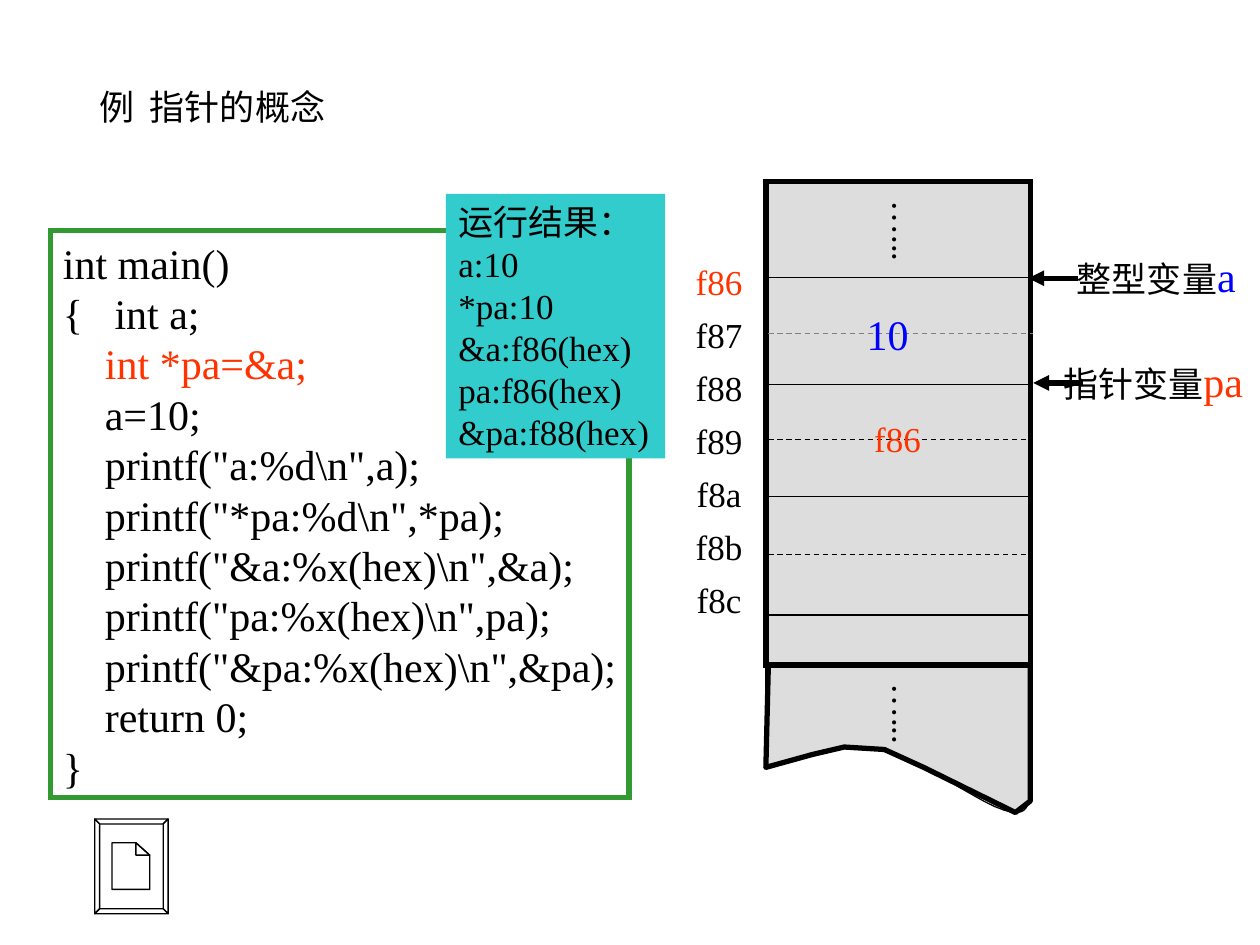
"""Slide on the concept of pointers: program, its output and a memory map."""
from lxml import etree
from pptx import Presentation
from pptx import util as u
from pptx.dml.color import RGBColor
from pptx.enum import dml, shapes, text
from pptx.oxml import ns

BLACK = RGBColor(0x00, 0x00, 0x00)
WHITE = RGBColor(0xFF, 0xFF, 0xFF)
RED = RGBColor(0xFF, 0x33, 0x00)
BLUE = RGBColor(0x00, 0x00, 0xFF)
GREEN = RGBColor(0x33, 0x99, 0x33)
TEAL = RGBColor(0x33, 0xCC, 0xCC)
GREY = RGBColor(0xDD, 0xDD, 0xDD)
MID_GREY = RGBColor(0x80, 0x80, 0x80)
FONT = "Times New Roman"

TITLE = "例  指针的概念"
CODE = [
    "int main()",
    "{   int a;",
    ["    ", ("int *pa=&a;", RED, 24)],
    "    a=10;",
    '    printf("a:%d\\n",a);',
    '    printf("*pa:%d\\n",*pa);',
    '    printf("&a:%x(hex)\\n",&a);',
    '    printf("pa:%x(hex)\\n",pa);',
    '    printf("&pa:%x(hex)\\n",&pa);',
    "    return 0;",
    "}",
]
RESULTS = ["运行结果：", "a:10", "*pa:10", "&a:f86(hex)", "pa:f86(hex)", "&pa:f88(hex)"]
ADDRESSES = ["f86", "f87", "f88", "f89", "f8a", "f8b", "f8c"]
ADDRESS_TOP, ADDRESS_PITCH = 5.11, 1.07
LEFT, TOP, WIDTH, HEIGHT = 15.44, 3.66, 5.33, 9.75
RIGHT, BOTTOM = LEFT + WIDTH, TOP + HEIGHT
ROWS = [
    (5.59, 0.05, BLACK, False),
    (6.73, 0.05, MID_GREY, True),
    (7.75, 0.05, BLACK, False),
    (8.86, 0.05, BLACK, True),
    (10.01, 0, BLACK, False),
    (11.18, 0.05, BLACK, True),
    (12.4, 0.05, BLACK, False),
]
SIDES = [(LEFT, 15.47), (RIGHT, 16.1)]
TORN = [(15.49, BOTTOM), (RIGHT, BOTTOM), (RIGHT, 16.15), (20.47, 16.38), (18.62, 15.47),
        (17.83, 15.11), (17.02, 15.06), (16.38, 15.21), (LEFT, 15.47)]
CURVES = [
    [(15.44, 15.49), (16.13, 15.21), (16.84, 14.94), (17.65, 15.09)],
    [(17.65, 15.09), (18.44, 15.21), (19.71, 16.18), (20.24, 16.33)],
    [(20.24, 16.33), (20.78, 16.51), (20.7, 16.13), (20.78, 16.08)],
]
VARIABLES = [
    ("整型变量", "a", BLUE, (21.46, 4.93, 3.94, 1.27), (21.74, 20.73, 5.61)),
    ("指针变量", "pa", RED, (21.18, 7.04, 4.45, 1.27), (21.84, 20.83, 7.72)),
]
VALUES = [("10", BLUE, 24, (17.22, 6.1, 1.35, 1.27)), ("f86", RED, 20, (17.37, 8.28, 1.45, 1.12))]
DOTS = [(17.6, 3.79, 1.35, 1.5), (17.6, 13.52, 1.35, 1.5)]
FRAME_OUT = [(1.91, 16.51), (3.39, 16.51), (3.39, 18.42), (1.91, 18.42)]
FRAME_IN = [(2.01, 16.61), (3.29, 16.61), (3.29, 18.32), (2.01, 18.32)]
PAGE = [(2.26, 16.99), (2.74, 16.99), (3.02, 17.24), (3.02, 17.93), (2.26, 17.93)]
FOLD = [(2.74, 16.99), (3.02, 17.24), (2.74, 17.24)]

prs = Presentation()
prs.slide_width, prs.slide_height = u.Cm(25.4), u.Cm(19.05)
s = prs.slides.add_slide(prs.slide_layouts[6])


def paint(sp, fill=None, line=None, width=0.75):
    sp.shadow.inherit = False
    if fill is None:
        sp.fill.background()
    else:
        sp.fill.solid()
        sp.fill.fore_color.rgb = fill
    if line is None:
        sp.line.fill.background()
    else:
        sp.line.color.rgb = line
        sp.line.width = u.Pt(width)


def add_box(box, **look):
    sp = s.shapes.add_shape(shapes.MSO_SHAPE.RECTANGLE, *map(u.Cm, box))
    paint(sp, **look)
    etree.SubElement(sp.line._get_or_add_ln(), ns.qn("a:miter"), lim="800000")
    return sp


def add_text(lines, box=None, sp=None, size=20, color=BLACK, center=False, vertical=False):
    sp = sp or s.shapes.add_textbox(*map(u.Cm, box))
    tf = sp.text_frame
    tf.word_wrap = False
    tf.auto_size = text.MSO_AUTO_SIZE.SHAPE_TO_FIT_TEXT
    tf.vertical_anchor = text.MSO_ANCHOR.MIDDLE if center else text.MSO_ANCHOR.TOP
    across, along = (0.13, 0.25) if vertical else (0.25, 0.13)
    tf.margin_left = tf.margin_right = u.Cm(across)
    tf.margin_top = tf.margin_bottom = u.Cm(along)
    if vertical:
        tf._txBody.bodyPr.set("vert", "eaVert")
    for i, line in enumerate(lines):
        p = tf.add_paragraph() if i else tf.paragraphs[0]
        p.alignment = text.PP_ALIGN.CENTER if center else text.PP_ALIGN.LEFT
        for part in [line] if isinstance(line, str) else line:
            words, tint, points = (part, color, size) if isinstance(part, str) else part
            r = p.add_run()
            r.text = words
            r.font.name, r.font.size = FONT, u.Pt(points)
            r.font.color.rgb = tint


def add_line(x1, y1, x2, y2, color=BLACK, width=0.75, dashed=False, arrow=False):
    ln = s.shapes.add_connector(shapes.MSO_CONNECTOR.STRAIGHT, *map(u.Cm, (x1, y1, x2, y2)))
    ln.line.color.rgb = color
    ln.line.width = u.Pt(width)
    if dashed:
        ln.line.dash_style = dml.MSO_LINE.DASH
    if arrow:
        etree.SubElement(ln.line._get_or_add_ln(), ns.qn("a:tailEnd"), type="triangle")
    etree.SubElement(ln._element.spPr, ns.qn("a:effectLst"))


def add_outline(*contours, close=True, **look):
    builder = None
    for points in contours:
        start, *rest = [(u.Cm(x), u.Cm(y)) for x, y in points]
        if builder is None:
            builder = s.shapes.build_freeform(*start)
        else:
            builder.move_to(*start)
        builder.add_line_segments(rest, close=close)
    paint(builder.convert_to_shape(), **look)


def bezier(curve, t):
    weights = ((1 - t) ** 3, 3 * t * (1 - t) ** 2, 3 * t ** 2 * (1 - t), t ** 3)
    return tuple(sum(w * q[axis] for w, q in zip(weights, curve)) for axis in (0, 1))


bevels = [(FRAME_OUT[i - 1], FRAME_OUT[i], FRAME_IN[i], FRAME_IN[i - 1]) for i in range(4)]
add_outline(*bevels, PAGE, FOLD, fill=WHITE, line=BLACK)
add_text([TITLE], (1.75, 1.6, 5.25, 1.12))
add_text(CODE, sp=add_box((1.02, 4.65, 11.66, 11.43), line=GREEN, width=3), size=24)
add_text(RESULTS, sp=add_box((8.99, 3.91, 4.42, 5.33), fill=TEAL))

add_outline([bezier(c, k / 10) for c in CURVES for k in range(11)], close=False, line=BLACK)
add_outline(TORN, fill=GREY, line=BLACK, width=3)
add_box((LEFT, TOP, WIDTH, HEIGHT), fill=GREY, line=BLACK, width=3)
for y, shift, color, dashed in ROWS:
    add_line(LEFT + shift, y, RIGHT + shift, y, color, dashed=dashed)
for x, end in SIDES:
    add_line(x, BOTTOM + 0.05, x, end)
for box in DOTS:
    add_text(["…..."], box, center=True, vertical=True)
for i, address in enumerate(ADDRESSES):
    add_text([address], (13.77, ADDRESS_TOP + i * ADDRESS_PITCH, 1.45, 1.12),
             color=BLACK if i else RED, center=True)
for label, name, color, box, (x1, x2, y) in VARIABLES:
    add_line(x1, y, x2, y, width=3, arrow=True)
    add_text([[label, (name, color, 24)]], box)
for value, color, size, box in VALUES:
    add_text([value], box, size=size, color=color, center=True)

prs.save("out.pptx")
